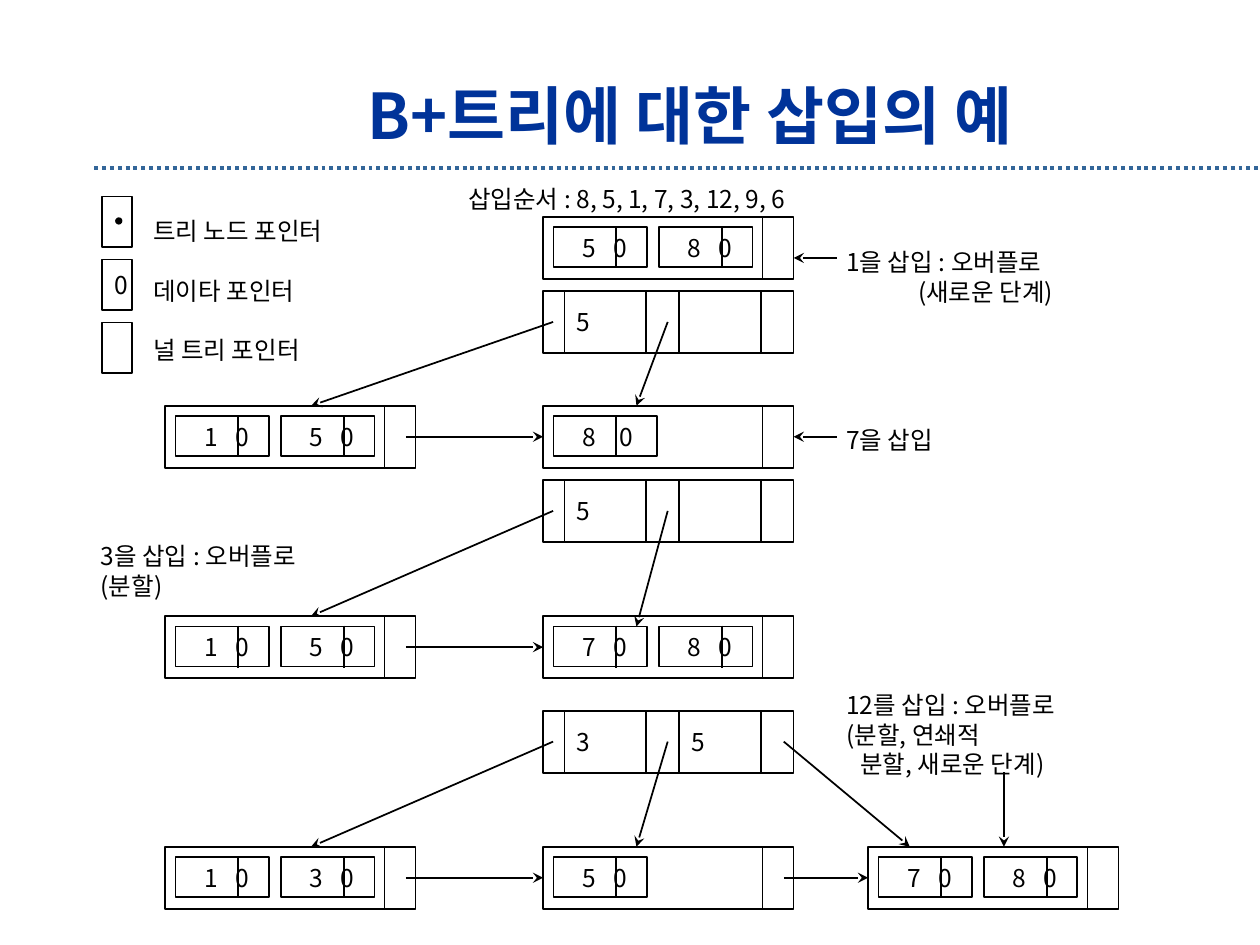
import pptx
import pptx.dml.color
import pptx.enum.dml
import pptx.enum.shapes
import pptx.enum.text
import pptx.oxml.ns
import pptx.util
from lxml import etree

Cm = pptx.util.Cm
Pt = pptx.util.Pt
SHAPE = pptx.enum.shapes.MSO_SHAPE
ANCHOR = pptx.enum.text.MSO_ANCHOR
ALIGN = pptx.enum.text.PP_ALIGN

BLACK = pptx.dml.color.RGBColor(0x00, 0x00, 0x00)
WHITE = pptx.dml.color.RGBColor(0xFF, 0xFF, 0xFF)
NAVY = pptx.dml.color.RGBColor(0x00, 0x33, 0x99)
STEEL = pptx.dml.color.RGBColor(0x33, 0x66, 0x99)

FONT = "Noto Sans CJK KR"
BODY = {"size": Pt(14), "bold": False}
TITLE = {"size": Pt(36), "bold": True}

NODE_W, NODE_H = 5.05, 1.25
LEFT_X, MID_X, RIGHT_X = 3.33, 10.95, 17.5


def sub(parent, tag, **attrs):
    return etree.SubElement(parent, pptx.oxml.ns.qn(tag), attrs)


def format_text(p, fmt=BODY, color=BLACK):
    for name, value in {"name": FONT, **fmt}.items():
        setattr(p.font, name, value)
    p.font.color.rgb = color
    for r in p.runs:
        sub(r._r.get_or_add_rPr(), "a:ea", typeface=FONT)


def set_frame(tf, left=0.25, anchor=ANCHOR.TOP):
    values = {"word_wrap": True, "margin_left": Cm(left), "margin_right": 0,
              "margin_top": Cm(0.13), "margin_bottom": Cm(0.13),
              "vertical_anchor": anchor}
    for name, value in values.items():
        setattr(tf, name, value)


def add_box(s, x, y, w, h, text="", inset=0.25, tab=None,
            kind=SHAPE.RECTANGLE, fill=WHITE):
    sp = s.shapes.add_shape(kind, Cm(x), Cm(y), Cm(w), Cm(h))
    sp.shadow.inherit = False
    sp.fill.solid()
    sp.fill.fore_color.rgb = fill
    sp.line.color.rgb = BLACK
    sp.line.width = Pt(1)
    if text:
        set_frame(sp.text_frame, inset, ANCHOR.MIDDLE)
        p = sp.text_frame.paragraphs[0]
        p.text = text
        p.alignment = ALIGN.LEFT
        if tab:
            tabs = sub(p._p.get_or_add_pPr(), "a:tabLst")
            sub(tabs, "a:tab", pos=str(Cm(tab)), algn="l")
        format_text(p)
    return sp


def add_line(s, x1, y1, x2, y2, arrow=None, color=BLACK, width=1):
    c = s.shapes.add_connector(pptx.enum.shapes.MSO_CONNECTOR.STRAIGHT,
                               Cm(x1), Cm(y1), Cm(x2), Cm(y2))
    c.line.color.rgb = color
    c.line.width = Pt(width)
    if arrow:
        sub(c.line._get_or_add_ln(), arrow, type="stealth")
    sub(c._element.spPr, "a:effectLst")
    return c


def add_leaf(s, x, y, keys, key_w=1.88, tab=0.62):
    sp = add_box(s, x, y, NODE_W, NODE_H)
    for i, key in enumerate(keys):
        key_x = x + 0.21 + 2.13 * i
        add_box(s, key_x, y + 0.21, key_w, 0.81, f"{key}\t0", 0.58, tab)
        add_line(s, key_x + 1.26, y + 0.19, key_x + 1.26, y + 1.04)
    add_line(s, x + 4.42, y, x + 4.42, y + NODE_H)
    return sp


def add_inner(s, y, keys):
    add_box(s, MID_X, y, NODE_W, NODE_H)
    for x, key in zip((0.43, 2.74), keys):
        add_box(s, MID_X + x, y, 1.65, NODE_H, key)


def add_branches(s, y, *ends):
    for start, (x, end_y) in zip((11.15, 13.46, 15.8), ends):
        add_line(s, start, y + 0.62, x, end_y, "a:tailEnd")


def add_link(s, x, y, leaf):
    c = add_line(s, x + 4.85, y + NODE_H / 2, x + 7.6, y + NODE_H / 2, "a:tailEnd")
    c.end_connect(leaf, 1)


def add_note(s, x, y, w, lines, pitch=17):
    tb = s.shapes.add_textbox(Cm(x), Cm(y), Cm(w), Cm(0.26 + 0.6 * len(lines)))
    tf = tb.text_frame
    set_frame(tf)
    for i, (text, indent) in enumerate(lines):
        p = tf.paragraphs[0] if i == 0 else tf.add_paragraph()
        p.text = text
        p.line_spacing = Pt(17)
        if i:
            p.space_before = Pt(pitch - 17)
        p._p.get_or_add_pPr().set("marL", str(Cm(indent)))
        format_text(p)


def add_heading(s):
    rule = add_line(s, 1.9, 3.38, 25.4, 3.38, color=STEEL, width=2.25)
    rule.line.dash_style = pptx.enum.dml.MSO_LINE.ROUND_DOT
    tb = s.shapes.add_textbox(Cm(5.77), Cm(1.42), Cm(16.28), Cm(1.9))
    set_frame(tb.text_frame, 0)
    p = tb.text_frame.paragraphs[0]
    p.text = "B+트리에 대한 삽입의 예"
    p.alignment = ALIGN.CENTER
    format_text(p, TITLE, NAVY)


def add_legend(s):
    for i, text in enumerate(("", "0", "")):
        add_box(s, 2.06, 3.96 + 1.27 * i, 0.61, 1.02, text)
    add_box(s, 2.34, 4.4, 0.11, 0.11, kind=SHAPE.OVAL, fill=BLACK)
    add_note(s, 2.84, 4.22, 5, [("트리 노드 포인터", 0), ("데이타 포인터", 0),
                                ("널 트리 포인터", 0)], 34)


def add_trees(s):
    y1, y2, y3, y4 = 4.37, 8.18, 12.42, 17.07
    inner2, inner3, inner4 = 5.87, 9.68, 14.33

    add_leaf(s, MID_X, y1, "58")
    add_line(s, 16, 5.2, 16.87, 5.2, "a:headEnd")

    add_leaf(s, LEFT_X, y2, "15")
    leaf = add_leaf(s, MID_X, y2, "8", 2.08, 0.74)
    add_inner(s, inner2, ("5", ""))
    add_branches(s, inner2, (6.27, y2), (12.83, y2))
    add_link(s, LEFT_X, y2, leaf)
    c = add_line(s, 16, y2 + NODE_H / 2, 16.87, y2 + NODE_H / 2, "a:headEnd")
    c.begin_connect(leaf, 3)

    add_leaf(s, LEFT_X, y3, "15")
    leaf = add_leaf(s, MID_X, y3, "78")
    add_inner(s, inner3, ("5", ""))
    add_branches(s, inner3, (6.27, y3), (12.83, y3 + 0.21))
    add_link(s, LEFT_X, y3, leaf)

    add_leaf(s, LEFT_X, y4, "13")
    leaf = add_leaf(s, MID_X, y4, "5")
    last = add_leaf(s, RIGHT_X, y4, "78")
    add_inner(s, inner4, "35")
    add_branches(s, inner4, (6.27, y4), (12.83, y4), (18.34, y4))
    add_link(s, LEFT_X, y4, leaf)
    add_link(s, MID_X, y4, last)
    add_line(s, 20.24, 15.57, 20.24, y4, "a:tailEnd")


def main():
    prs = pptx.Presentation()
    prs.slide_width, prs.slide_height = Cm(25.4), Cm(19.05)
    s = prs.slides.add_slide(prs.slide_layouts[6])
    add_heading(s)
    add_legend(s)
    add_trees(s)
    add_note(s, 9.19, 3.58, 8, [("삽입순서 : 8, 5, 1, 7, 3, 12, 9, 6", 0)])
    add_note(s, 16.81, 4.85, 6.5, [("1을 삽입 : 오버플로", 0), ("(새로운 단계)", 1.45)])
    add_note(s, 16.81, 8.43, 4, [("7을 삽입", 0)])
    add_note(s, 1.78, 10.77, 6.25, [("3을 삽입 : 오버플로\v(분할)", 0)])
    add_note(s, 16.81, 13.77, 6.5, [("12를 삽입 : 오버플로", 0), ("(분할, 연쇄적", 0),
                                    ("분할, 새로운 단계)", 0.28)])
    prs.save("out.pptx")


if __name__ == "__main__":
    main()
